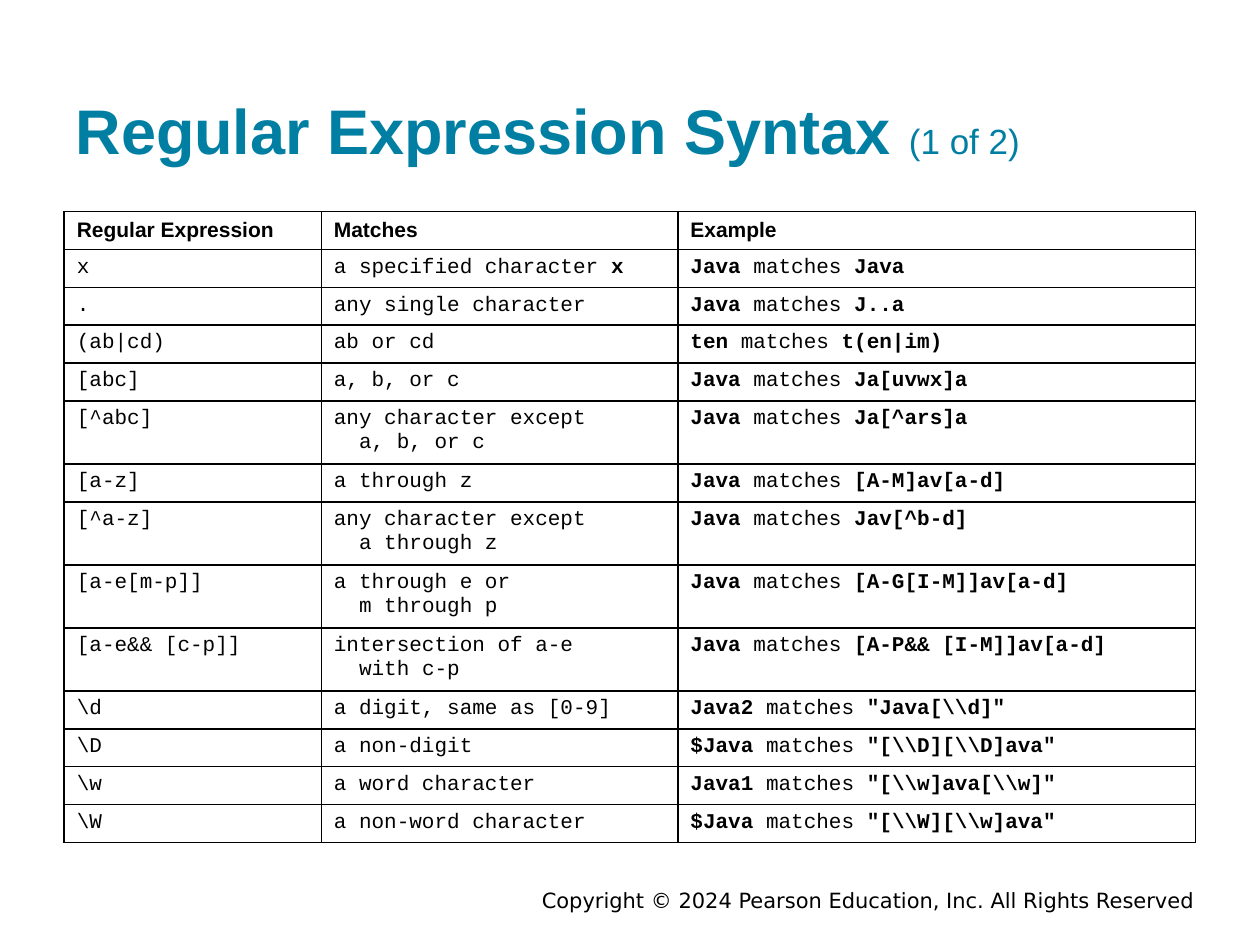
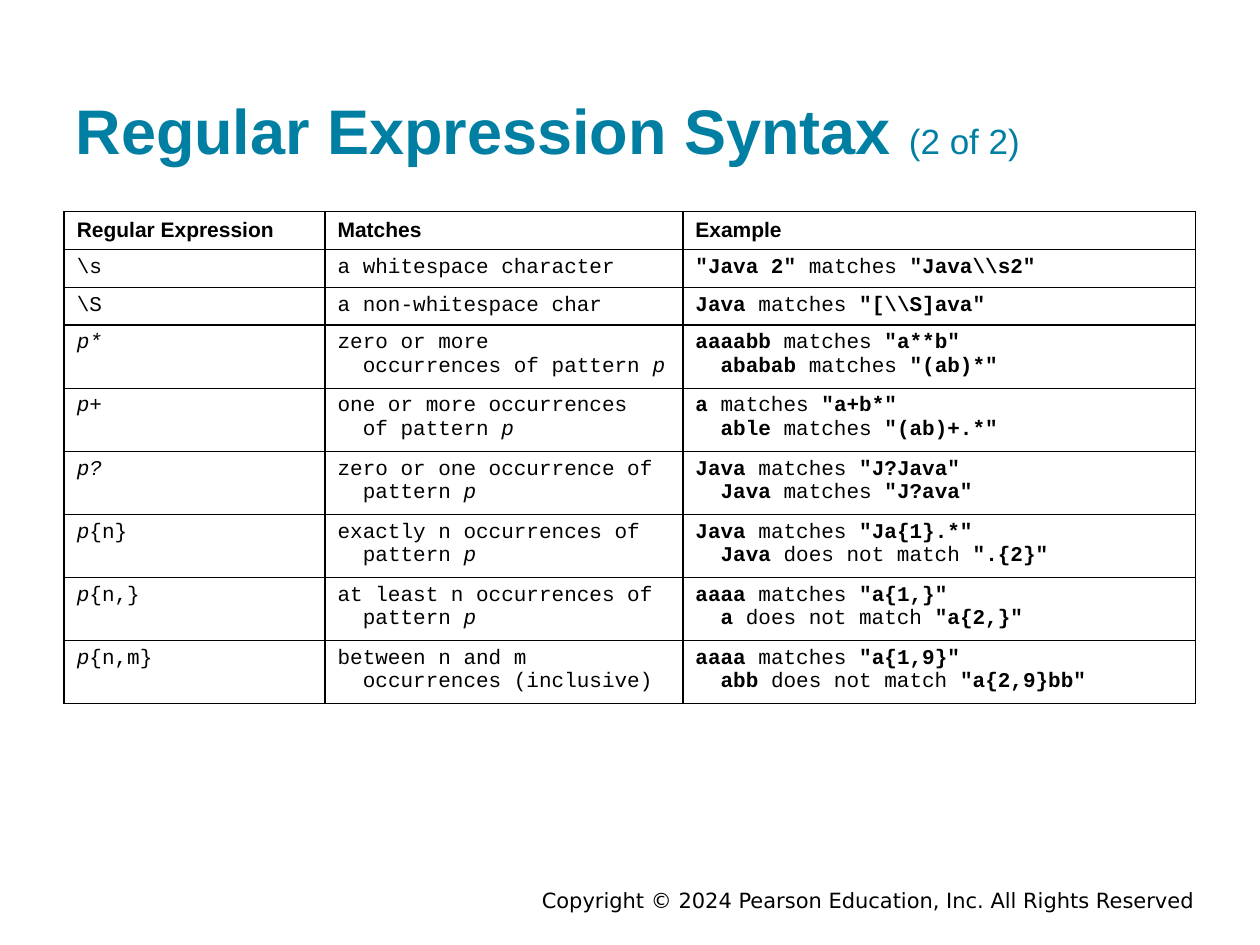
from lxml.etree import SubElement
from pptx import Presentation
from pptx.dml.color import RGBColor
from pptx.enum.text import MSO_ANCHOR, MSO_AUTO_SIZE, PP_ALIGN
from pptx.oxml.ns import qn
from pptx.util import Inches, Pt

TEAL = RGBColor(0x00, 0x7F, 0xA3)
BLACK = RGBColor(0x00, 0x00, 0x00)
WHITE = RGBColor(0xFF, 0xFF, 0xFF)

HEAD = {"name": "Arial", "size": Pt(12), "bold": True}
CODE = {"name": "Courier New", "size": Pt(12), "bold": False}
TITLE = {"name": "Arial", "size": Pt(36), "bold": True}
COUNT = {"name": "Arial", "size": Pt(20), "bold": False}
FOOT = {"name": "DejaVu Sans", "size": Pt(12), "bold": False}

TITLE_FRAME = {
    "vertical_anchor": MSO_ANCHOR.BOTTOM,
    "auto_size": MSO_AUTO_SIZE.NONE,
    "word_wrap": True,
    "margin_left": Inches(0.1),
    "margin_right": Inches(0.1),
    "margin_top": Inches(0.1),
    "margin_bottom": Inches(0.1),
}
FOOT_FRAME = {"vertical_anchor": MSO_ANCHOR.MIDDLE, "word_wrap": True}
PLAIN = {"first_row": False, "horz_banding": False}

TOPIC = "Regular Expression Syntax "
NOTICE = "Copyright © 2024 Pearson Education, Inc. All Rights Reserved"
LABELS = ("Regular Expression", "Matches", "Example")
BREAK = " / "
PAD = Inches(0.1)
LINE = Pt(13.6)

CLASSES = (
    ("x", "a specified character `x`", "`Java` matches `Java`"),
    (".", "any single character", "`Java` matches `J..a`"),
    ("(ab|cd)", "ab or cd", "`ten` matches `t(en|im)`"),
    ("[abc]", "a, b, or c", "`Java` matches `Ja[uvwx]a`"),
    ("[^abc]", "any character except / a, b, or c", "`Java` matches `Ja[^ars]a`"),
    ("[a-z]", "a through z", "`Java` matches `[A-M]av[a-d]`"),
    ("[^a-z]", "any character except / a through z", "`Java` matches `Jav[^b-d]`"),
    ("[a-e[m-p]]", "a through e or / m through p", "`Java` matches `[A-G[I-M]]av[a-d]`"),
    ("[a-e&& [c-p]]", "intersection of a-e / with c-p", "`Java` matches `[A-P&& [I-M]]av[a-d]`"),
    (r"\d", "a digit, same as [0-9]", r'`Java2` matches `"Java[\\d]"`'),
    (r"\D", "a non-digit", r'`$Java` matches `"[\\D][\\D]ava"`'),
    (r"\w", "a word character", r'`Java1` matches `"[\\w]ava[\\w]"`'),
    (r"\W", "a non-word character", r'`$Java` matches `"[\\W][\\w]ava"`'),
)

REPEATS = (
    (r"\s", "a whitespace character", r'`"Java 2"` matches `"Java\\s2"`'),
    (r"\S", "a non-whitespace char", r'`Java` matches `"[\\S]ava"`'),
    ("~p*~", "zero or more / occurrences of pattern ~p~",
     '`aaaabb` matches `"a**b"` / `ababab` matches `"(ab)*"`'),
    ("~p+~", "one or more occurrences / of pattern ~p~",
     '`a` matches `"a+b*"` / `able` matches `"(ab)+.*"`'),
    ("~p?~", "zero or one occurrence of / pattern ~p~",
     '`Java` matches `"J?Java"` / `Java` matches `"J?ava"`'),
    ("~p~{n}", "exactly n occurrences of / pattern ~p~",
     '`Java` matches `"Ja{1}.*"` / `Java` does not match `".{2}"`'),
    ("~p~{n,}", "at least n occurrences of / pattern ~p~",
     '`aaaa` matches `"a{1,}"` / `a` does not match `"a{2,}"`'),
    ("~p~{n,m}", "between n and m / occurrences (inclusive)",
     '`aaaa` matches `"a{1,9}"` / `abb` does not match `"a{2,9}bb"`'),
)

PAGES = (
    ("(1 of 2)", (2.04, 2.83, 4.11), CLASSES),
    ("(2 of 2)", (2.07, 2.84, 4.07), REPEATS),
)


def apply(item, values):
    for key, value in values.items():
        setattr(item, key, value)


def add_run(para, text, style, color=BLACK):
    run = para.add_run()
    run.text = text
    apply(run.font, style)
    run.font.color.rgb = color


def add_marked(para, text, style):
    for i, part in enumerate(text.split("`")):
        for j, bit in enumerate(part.split("~")):
            if bit:
                bold = style["bold"] or i % 2 == 1
                add_run(para, bit, {**style, "bold": bold, "italic": j % 2 == 1})


def add_title(slide, count):
    title = slide.shapes.title
    apply(title, {"left": Inches(0.5), "top": Inches(0.23),
                  "width": Inches(9), "height": Inches(1.2)})
    apply(title.text_frame, TITLE_FRAME)
    para = title.text_frame.paragraphs[0]
    para.alignment = PP_ALIGN.LEFT
    add_run(para, TOPIC, TITLE, TEAL)
    add_run(para, count, COUNT, TEAL)


def add_footer(slide):
    box = slide.shapes.add_textbox(Inches(1.75), Inches(7.03), Inches(7.83), Inches(0.22))
    apply(box.text_frame, FOOT_FRAME)
    para = box.text_frame.paragraphs[0]
    para.alignment = PP_ALIGN.RIGHT
    add_run(para, NOTICE, FOOT)


def add_edges(cell):
    props = cell._tc.get_or_add_tcPr()
    for side in ("lnL", "lnR", "lnT", "lnB"):
        line = SubElement(props, qn("a:" + side), w=str(Pt(1)))
        fill = SubElement(line, qn("a:solidFill"))
        SubElement(fill, qn("a:srgbClr"), val=str(BLACK))


def fill_cell(cell, text, style):
    add_edges(cell)
    cell.fill.solid()
    cell.fill.fore_color.rgb = WHITE
    frame = cell.text_frame
    for i, line in enumerate(text.split(BREAK)):
        para = frame.add_paragraph() if i else frame.paragraphs[0]
        if i:
            para._p.get_or_add_pPr().set("marL", str(Inches(0.2)))
        add_marked(para, line, style)


def row_size(row):
    return PAD + LINE * max(len(text.split(BREAK)) for text in row)


def add_grid(slide, widths, body):
    rows = (LABELS, *body)
    sizes = [row_size(row) for row in rows]
    shape = slide.shapes.add_table(len(rows), len(widths), Inches(0.51), Inches(1.68),
                                   Inches(sum(widths)), sum(sizes))
    table = shape.table
    apply(table, PLAIN)
    for col, width in zip(table.columns, widths):
        col.width = Inches(width)
    for i, (row, size) in enumerate(zip(rows, sizes)):
        table.rows[i].height = size
        for j, text in enumerate(row):
            fill_cell(table.cell(i, j), text, CODE if i else HEAD)


def main():
    deck = Presentation()
    apply(deck, {"slide_width": Inches(10), "slide_height": Inches(7.5)})
    for count, widths, body in PAGES:
        slide = deck.slides.add_slide(deck.slide_layouts[5])
        add_footer(slide)
        add_title(slide, count)
        add_grid(slide, widths, body)
    deck.save("out.pptx")


if __name__ == "__main__":
    main()
